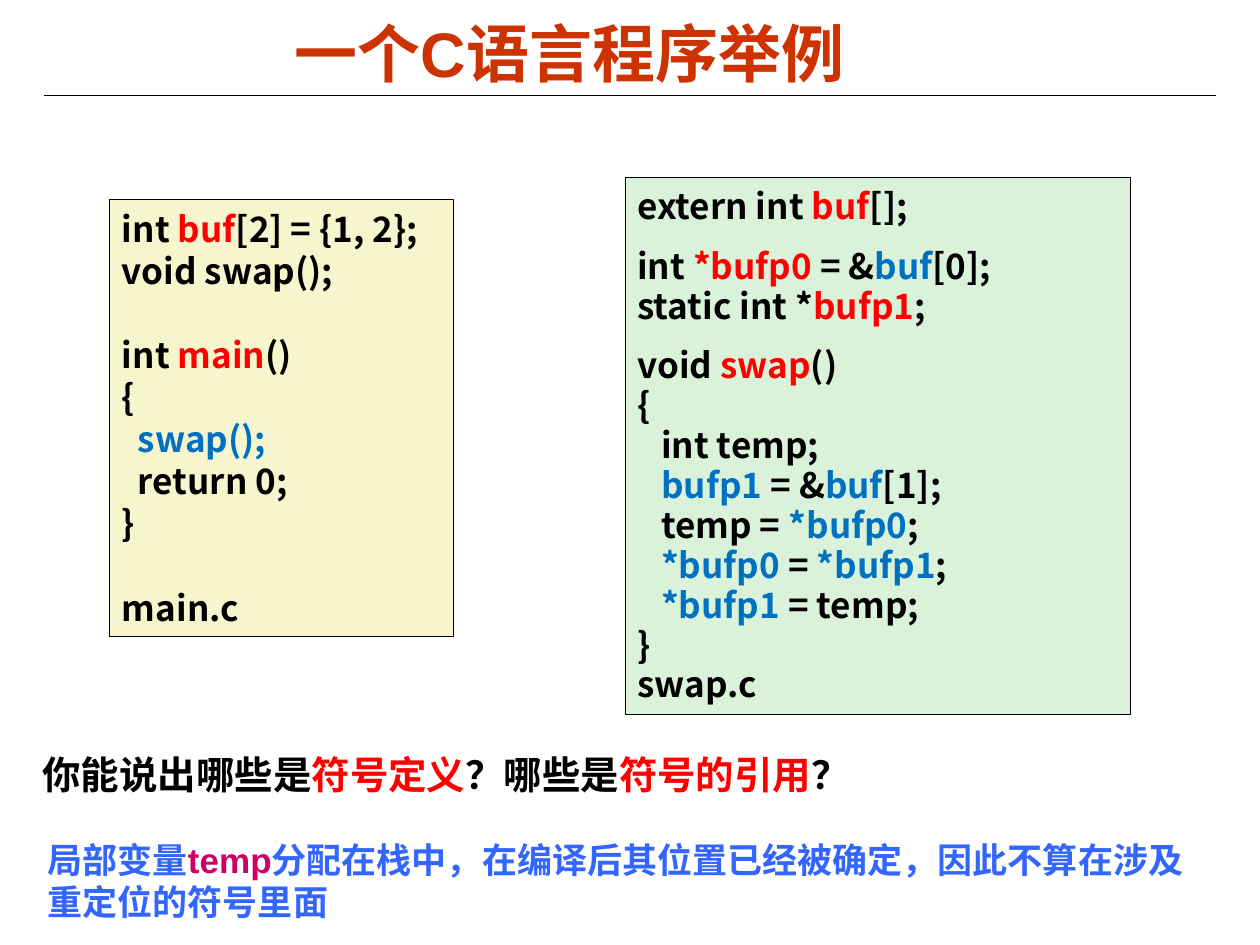
from lxml import etree
from pptx import Presentation
from pptx.dml.color import RGBColor
from pptx.enum import shapes, text
from pptx.oxml.ns import qn
from pptx.util import Inches, Pt

BLACK, RED, BLUE = "000000", "FF0000", "0070C0"
CJK_FONT = "Noto Sans CJK SC"

# Each line is a list of (text, colour) spans; None leaves a gap before the next line.
MAIN_C = [
    [("int ", BLACK), ("buf", RED), ("[2] = {1, 2};", BLACK)],
    [("void swap();", BLACK)],
    None,
    [("int ", BLACK), ("main", RED), ("()", BLACK)],
    [("{", BLACK)],
    [("  ", BLACK), ("swap();", BLUE)],
    [("  return 0;", BLACK)],
    [("}", BLACK)],
    None,
    [("main.c", BLACK)],
]
SWAP_C = [
    [("extern int ", BLACK), ("buf", RED), ("[];", BLACK)],
    None,
    [("int ", BLACK), ("*bufp0", RED), (" = &", BLACK), ("buf", BLUE), ("[0];", BLACK)],
    [("static int *", BLACK), ("bufp1", RED), (";", BLACK)],
    None,
    [("void ", BLACK), ("swap", RED), ("()", BLACK)],
    [("{", BLACK)],
    [("   int temp;", BLACK)],
    [("   ", BLACK), ("bufp1", BLUE), (" = &", BLACK), ("buf", BLUE), ("[1];", BLACK)],
    [("   temp = ", BLACK), ("*bufp0", BLUE), (";", BLACK)],
    [("   ", BLACK), ("*bufp0 ", BLUE), ("= ", BLACK), ("*bufp1", BLUE), (";", BLACK)],
    [("   ", BLACK), ("*bufp1 ", BLUE), ("= temp;", BLACK)],
    [("}", BLACK)],
    [("swap.c", BLACK)],
]
QUESTION = [("你能说出哪些是", BLACK), ("符号定义", RED), ("？哪些是", BLACK),
            ("符号的引用", RED), ("？", BLACK)]
REMARK = [("局部变量", "3366FF"), ("temp", "CC0066"),
          ("分配在栈中，在编译后其位置已经被确定，因此不算在涉及重定位的符号里面", "3366FF")]


def colour(value):
    return RGBColor.from_string(value)


def place(item, left, top, width, height):
    item.left, item.top = Inches(left), Inches(top)
    item.width, item.height = Inches(width), Inches(height)


def add_spans(para, spans, size, font):
    for words, shade in spans:
        span = para.add_run()
        span.text = words
        span.font.name = font
        span.font.size = Pt(size)
        span.font.bold = True
        span.font.color.rgb = colour(shade)
        east_asian = etree.SubElement(span.font._element, qn("a:ea"))
        east_asian.set("typeface", CJK_FONT)


def add_title(page, words):
    title = page.shapes.title
    place(title, 0.37, 0, 8.3, 0.83)
    title.text_frame.vertical_anchor = text.MSO_ANCHOR.MIDDLE
    para = title.text_frame.paragraphs[0]
    para.alignment = text.PP_ALIGN.CENTER
    add_spans(para, [(words, "CC3300")], 36, "Arial")


def add_rule(page, left, right, top):
    rule = page.shapes.add_connector(
        shapes.MSO_CONNECTOR.STRAIGHT,
        Inches(left), Inches(top), Inches(right), Inches(top))
    rule.line.color.rgb = colour(BLACK)
    rule.line.width = Pt(0.75)
    etree.SubElement(rule._element.spPr, qn("a:effectLst"))


def add_code_box(page, lines, bounds, fill, pitch, gap):
    """Draw a code listing with a line pitch and a gap size in points."""
    box = page.shapes.add_shape(
        shapes.MSO_SHAPE.RECTANGLE, *[Inches(length) for length in bounds])
    box.shadow.inherit = False
    box.fill.solid()
    box.fill.fore_color.rgb = colour(fill)
    box.line.color.rgb = colour(BLACK)
    box.line.width = Pt(0.25)
    frame = box.text_frame
    frame.word_wrap = True
    frame.vertical_anchor = text.MSO_ANCHOR.TOP
    frame.margin_top = Inches(0.07)
    para, space = frame.paragraphs[0], 0
    for number, spans in enumerate(lines):
        if spans is None:
            space = gap
            continue
        if number:
            para = frame.add_paragraph()
        para.alignment = text.PP_ALIGN.LEFT
        para.line_spacing = Pt(pitch)
        para.space_before = Pt(space)
        add_spans(para, spans, 20, CJK_FONT)
        space = 0


def add_note(page, spans, bounds, size, pitch):
    box = page.shapes.add_textbox(*[Inches(length) for length in bounds])
    frame = box.text_frame
    frame.word_wrap = True
    frame.vertical_anchor = text.MSO_ANCHOR.MIDDLE
    para = frame.paragraphs[0]
    para.line_spacing = Pt(pitch)
    add_spans(para, spans, size, "Arial")


def main():
    deck = Presentation()
    deck.slide_width, deck.slide_height = Inches(10), Inches(7.5)
    page = deck.slides.add_slide(deck.slide_layouts.get_by_name("Title Only"))
    add_rule(page, 0.35, 9.65, 0.76)
    add_title(page, "一个C语言程序举例")
    add_code_box(page, MAIN_C, (0.87, 1.58, 2.73, 3.47), "F7F5CD", 24, 24)
    add_code_box(page, SWAP_C, (4.96, 1.41, 4.01, 4.26), "DBF2DA", 22.8, 11.4)
    add_note(page, QUESTION, (0.24, 5.91, 8.03, 0.47), 22, 26.4)
    add_note(page, REMARK, (0.28, 6.6, 9.41, 0.77), 20, 24)
    deck.save("out.pptx")


if __name__ == "__main__":
    main()
